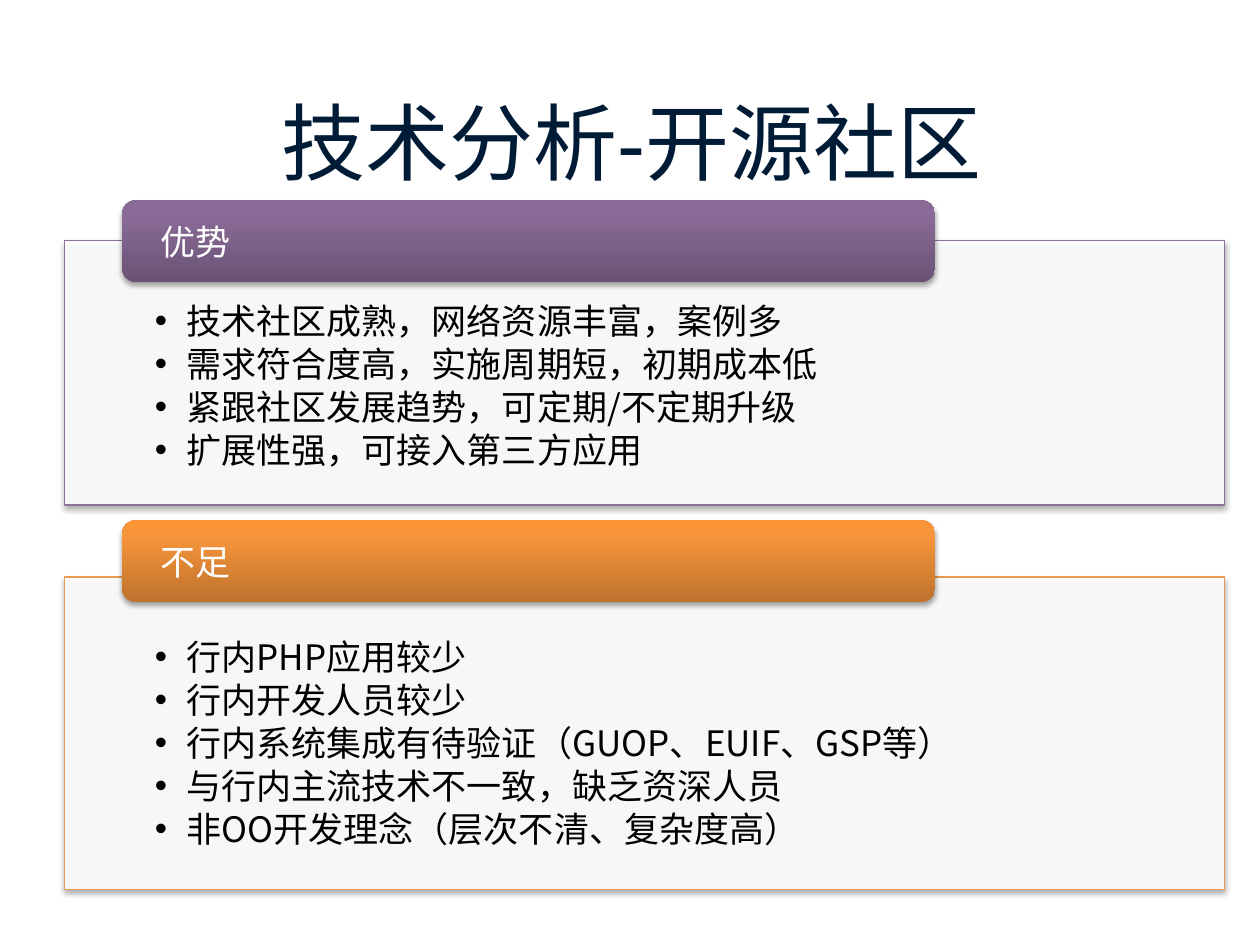
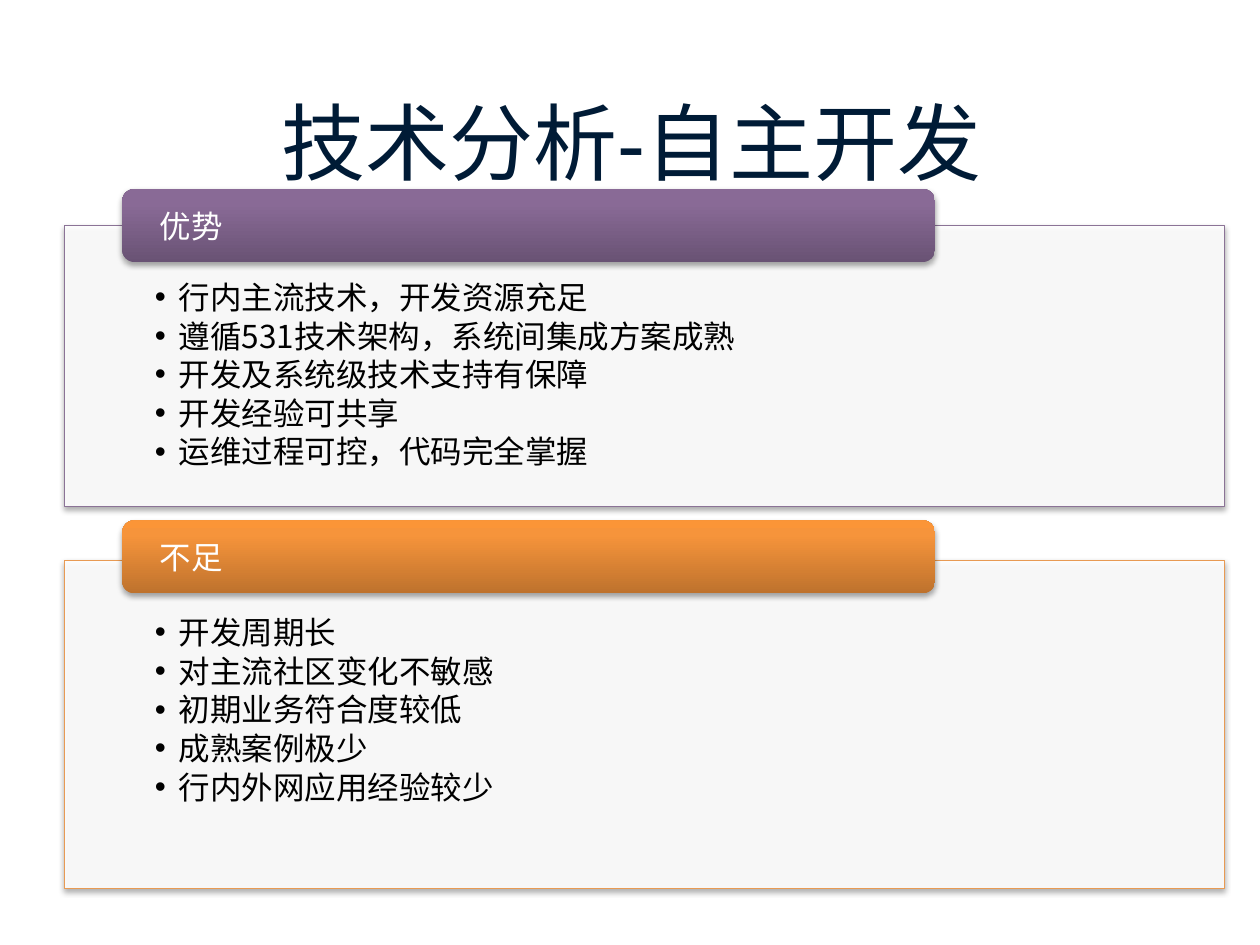
"""Build two slides weighing the strengths and weaknesses of each technical route."""
import copy

import pptx
import pptx.util
from lxml import etree
from pptx.dml.color import RGBColor
from pptx.enum.shapes import MSO_SHAPE
from pptx.enum.text import MSO_ANCHOR, MSO_AUTO_SIZE, PP_ALIGN
from pptx.oxml.ns import qn

Inches, Pt = pptx.util.Inches, pptx.util.Pt

NAVY = RGBColor(0x00, 0x1B, 0x36)
WHITE = RGBColor(0xFF, 0xFF, 0xFF)
BLACK = RGBColor(0x00, 0x00, 0x00)
PURPLE_LINE = RGBColor(0x8B, 0x73, 0x96)
PURPLE_STOPS = (RGBColor(0x69, 0x52, 0x74), RGBColor(0x89, 0x6A, 0x96), RGBColor(0x8A, 0x6A, 0x98))
ORANGE_LINE = RGBColor(0xE8, 0x9A, 0x53)
ORANGE_STOPS = (RGBColor(0xBE, 0x72, 0x2D), RGBColor(0xF6, 0x94, 0x3B), RGBColor(0xFB, 0x95, 0x37))
STOP_POSITIONS = (0, 0.8, 1)

LATIN_FONT, CHINESE_FONT = "Arial", "Noto Sans CJK SC"
LINE_PITCH = 1.226
PANEL_LEFT, PANEL_WIDTH = 0.51, 9.21
TAB_LEFT, TAB_WIDTH = 0.97, 6.45

SECTIONS = (
    ("优势", PURPLE_LINE, PURPLE_STOPS),
    ("不足", ORANGE_LINE, ORANGE_STOPS),
)
ANALYSES = (
    {
        "title": "技术分析-开源社区",
        "size": 20, "indent": 0.25, "tab_height": 0.65, "insets": (0.46, 0.16),
        "panels": (
            (1.59, 1.91, 2.1, (
                "技术社区成熟，网络资源丰富，案例多",
                "需求符合度高，实施周期短，初期成本低",
                "紧跟社区发展趋势，可定期/不定期升级",
                "扩展性强，可接入第三方应用",
            )),
            (4.13, 4.58, 2.48, (
                "行内PHP应用较少",
                "行内开发人员较少",
                "行内系统集成有待验证（GUOP、EUIF、GSP等）",
                "与行内主流技术不一致，缺乏资深人员",
                "非OO开发理念（层次不清、复杂度高）",
            )),
        ),
    },
    {
        "title": "技术分析-自主开发",
        "size": 18, "indent": 0.19, "tab_height": 0.58, "insets": (0.41, 0.14),
        "panels": (
            (1.5, 1.79, 2.23, (
                "行内主流技术，开发资源充足",
                "遵循531技术架构，系统间集成方案成熟",
                "开发及系统级技术支持有保障",
                "开发经验可共享",
                "运维过程可控，代码完全掌握",
            )),
            (4.13, 4.45, 2.6, (
                "开发周期长",
                "对主流社区变化不敏感",
                "初期业务符合度较低",
                "成熟案例极少",
                "行内外网应用经验较少",
            )),
        ),
    },
)


def place(shape, left, top, width, height):
    shape.left, shape.top = Inches(left), Inches(top)
    shape.width, shape.height = Inches(width), Inches(height)


def set_font(paragraph, size, color, name=CHINESE_FONT):
    font = paragraph.font
    font.size, font.name = Pt(size), name
    font.color.rgb = color
    latin = paragraph._p.pPr.find(qn("a:defRPr")).find(qn("a:latin"))
    east_asian = etree.Element(qn("a:ea"), typeface=CHINESE_FONT)
    latin.addnext(east_asian)


def set_frame(frame, anchor, side, top=0, bottom=0):
    frame.word_wrap = True
    frame.auto_size = MSO_AUTO_SIZE.NONE
    frame.vertical_anchor = anchor
    frame.margin_left = frame.margin_right = Inches(side)
    frame.margin_top, frame.margin_bottom = Inches(top), Inches(bottom)


def set_spacing(paragraph, size):
    paragraph.alignment = PP_ALIGN.LEFT
    paragraph.line_spacing = Pt(size * LINE_PITCH)
    paragraph.space_before = paragraph.space_after = Pt(0)


def add_shadow(shape):
    shape.shadow.inherit = False
    effects = shape.element.spPr.find(qn("a:effectLst"))
    shadow = etree.SubElement(
        effects, qn("a:outerShdw"), blurRad=str(Pt(3.1)), dist=str(Pt(1.8)),
        dir="5400000", rotWithShape="0")
    shade = etree.SubElement(shadow, qn("a:srgbClr"), val=str(BLACK))
    etree.SubElement(shade, qn("a:alpha"), val="35000")


def add_panel(slide, top, height, line_color):
    panel = slide.shapes.add_shape(MSO_SHAPE.RECTANGLE, 0, 0, 0, 0)
    place(panel, PANEL_LEFT, top, PANEL_WIDTH, height)
    panel.fill.solid()
    panel.fill.fore_color.rgb = WHITE
    white = panel.element.spPr.find(qn("a:solidFill"))[0]
    etree.SubElement(white, qn("a:alpha"), val="90000")
    panel.line.color.rgb = line_color
    panel.line.width = Pt(0.75)
    add_shadow(panel)
    return panel


def fill_points(body, top, height, points, analysis):
    place(body, PANEL_LEFT, top, PANEL_WIDTH, height)
    frame = body.text_frame
    set_frame(frame, MSO_ANCHOR.TOP, 0.72, *analysis["insets"])
    frame.text = "\n".join(points)
    indent = Inches(analysis["indent"])
    for paragraph in frame.paragraphs:
        paragraph.level = 1
        set_spacing(paragraph, analysis["size"])
        properties = paragraph._p.get_or_add_pPr()
        properties.set("marL", str(indent))
        properties.set("indent", str(-indent))
        etree.SubElement(properties, qn("a:buFont"), typeface=LATIN_FONT)
        etree.SubElement(properties, qn("a:buChar"), char="•")
        set_font(paragraph, analysis["size"], BLACK)


def add_tab(slide, top, heading, stop_colors, analysis):
    tab = slide.shapes.add_shape(MSO_SHAPE.ROUNDED_RECTANGLE, 0, 0, 0, 0)
    place(tab, TAB_LEFT, top, TAB_WIDTH, analysis["tab_height"])
    tab.fill.gradient()
    tab.fill.gradient_angle = 90
    stops = tab.element.spPr.find(qn("a:gradFill")).find(qn("a:gsLst"))
    stops.append(copy.deepcopy(stops[-1]))
    for stop, position, color in zip(tab.fill.gradient_stops, STOP_POSITIONS, stop_colors):
        stop.position = position
        stop.color.rgb = color
    tab.line.fill.background()
    add_shadow(tab)
    set_frame(tab.text_frame, MSO_ANCHOR.MIDDLE, 0.27)
    label = tab.text_frame.paragraphs[0]
    label.text = heading
    set_spacing(label, analysis["size"])
    set_font(label, analysis["size"], WHITE)


def add_analysis(deck, analysis):
    slide = deck.slides.add_slide(deck.slide_layouts[3])
    title, *bodies = slide.placeholders
    place(title, PANEL_LEFT, 0.68, 9, 0.87)
    title.text = analysis["title"]
    set_frame(title.text_frame, MSO_ANCHOR.MIDDLE, 0.1, 0.05, 0.05)
    heading = title.text_frame.paragraphs[0]
    heading.alignment = PP_ALIGN.CENTER
    set_font(heading, 48, NAVY, LATIN_FONT)

    sections = zip(SECTIONS, analysis["panels"], bodies[:2])
    for (label, line_color, stop_colors), (tab_top, top, height, points), body in sections:
        panel = add_panel(slide, top, height, line_color)
        panel.element.addnext(body.element)
        fill_points(body, top, height, points, analysis)
        add_tab(slide, tab_top, label, stop_colors, analysis)

    for unused in bodies[2:]:
        unused.element.getparent().remove(unused.element)


def main():
    deck = pptx.Presentation()
    deck.slide_width, deck.slide_height = Inches(10), Inches(7.5)
    for analysis in ANALYSES:
        add_analysis(deck, analysis)
    deck.save("out.pptx")


if __name__ == "__main__":
    main()
